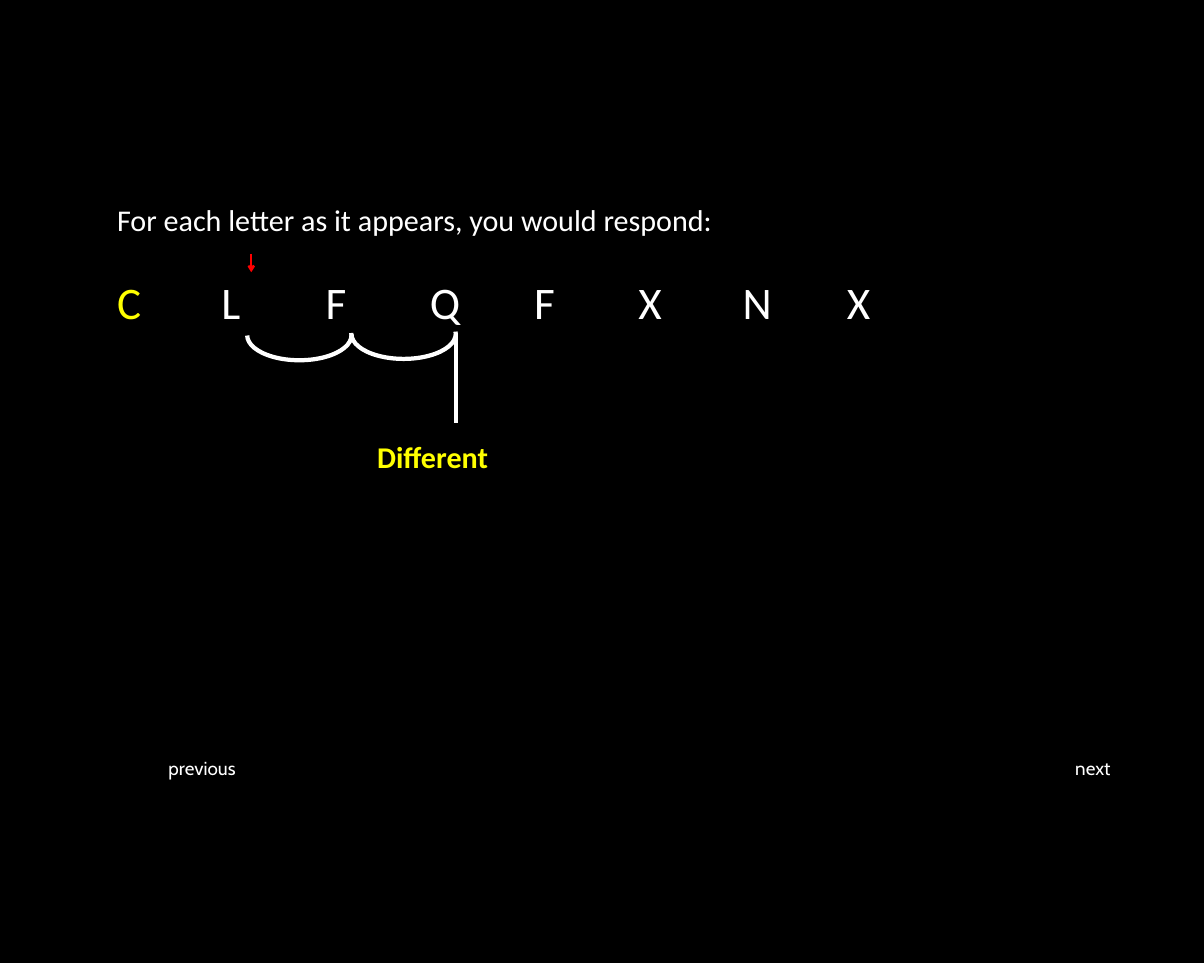
from lxml import etree
from pptx import Presentation
from pptx import util as u
from pptx.dml.color import RGBColor
from pptx.enum import shapes, text
from pptx.oxml.ns import qn

BLACK = RGBColor(0, 0, 0)
WHITE = RGBColor(255, 255, 255)
YELLOW = RGBColor(255, 255, 0)
RED = RGBColor(255, 0, 0)
PITCH = 8.66
LETTERS = "CLFQFXNX"


class Page:
    """Draws on one slide, with lengths in percent of its width and height."""

    def __init__(self, deck, font):
        self.deck, self.font = deck, font
        self.slide = deck.slides.add_slide(deck.slide_layouts[6])
        fill = self.slide.background.fill
        fill.solid()
        fill.fore_color.rgb = BLACK

    def wide(self, share):
        return round(self.deck.slide_width * share / 100)

    def high(self, share):
        return round(self.deck.slide_height * share / 100)

    def area(self, x, y, w, h):
        return self.wide(x), self.high(y), self.wide(w), self.high(h)

    def box(self, x, y, w, h):
        frame = self.slide.shapes.add_textbox(*self.area(x, y, w, h)).text_frame
        frame.word_wrap = True
        return frame

    def say(self, para, words, size, color=WHITE, font=None, bold=False):
        run = para.add_run()
        run.text = words
        face = run.font
        face.name, face.size, face.bold = font or self.font, u.Pt(size), bold
        face.color.rgb = color

    def tabs(self, para, count):
        stops = etree.SubElement(para._p.get_or_add_pPr(), qn("a:tabLst"))
        for n in range(1, count + 1):
            etree.SubElement(stops, qn("a:tab"), pos=str(self.wide(PITCH * n)), algn="l")

    def line(self, x, top, end, color, width, arrow=False):
        link = self.slide.shapes.add_connector(
            shapes.MSO_CONNECTOR.STRAIGHT,
            self.wide(x), self.high(top), self.wide(x), self.high(end))
        link.line.color.rgb = color
        link.line.width = u.Pt(width)
        if arrow:
            etree.SubElement(link.line._get_or_add_ln(), qn("a:tailEnd"), type="arrow")
        etree.SubElement(link._element.spPr, qn("a:effectLst"))

    def arc(self, x, y, w, h):
        arc = self.slide.shapes.add_shape(shapes.MSO_SHAPE.ARC, *self.area(x, y, w, h))
        arc.adjustments[0], arc.adjustments[1] = 106.5, 215.81
        arc.rotation = 180
        arc.shadow.inherit = False
        arc.fill.background()
        arc.line.color.rgb = WHITE
        arc.line.width = u.Pt(4.5)


def main():
    deck = Presentation()
    deck.slide_width, deck.slide_height = u.Inches(17.78), u.Inches(14.22)
    page = Page(deck, "Calibri")

    frame = page.box(9.17, 20.6, 83.63, 29.11)
    intro = frame.paragraphs[0]
    page.say(intro, "For each letter as it appears, you would respond:", 32)

    row = frame.add_paragraph()
    page.tabs(row, len(LETTERS) - 1)
    row.space_before = u.Pt(39)
    page.say(row, LETTERS[0], 48, YELLOW)
    for letter in LETTERS[1:]:
        page.say(row, "\t" + letter, 48)

    reply = frame.add_paragraph()
    reply._p.get_or_add_pPr().set("marL", str(u.Inches(3.84)))
    reply.space_before = u.Pt(117)
    page.say(reply, "Different", 32, YELLOW, bold=True)
    for para in frame.paragraphs:
        para.alignment = text.PP_ALIGN.JUSTIFY

    for x, w, words in ((88.75, 11.25, "next"), (13.44, 17.15, "previous")):
        label = page.box(x, 78.2, w, 3.09)
        page.say(label.paragraphs[0], words, 20, font="Cabin")

    page.line(37.85, 34.6, 43.88, WHITE, 4.5)
    page.line(20.87, 26.37, 28.27, RED, 2.25, arrow=True)
    for n, y in enumerate((32.21, 32.07)):
        page.arc(20.53 + n * PITCH, y, PITCH, 5.2)

    deck.save("out.pptx")


if __name__ == "__main__":
    main()
